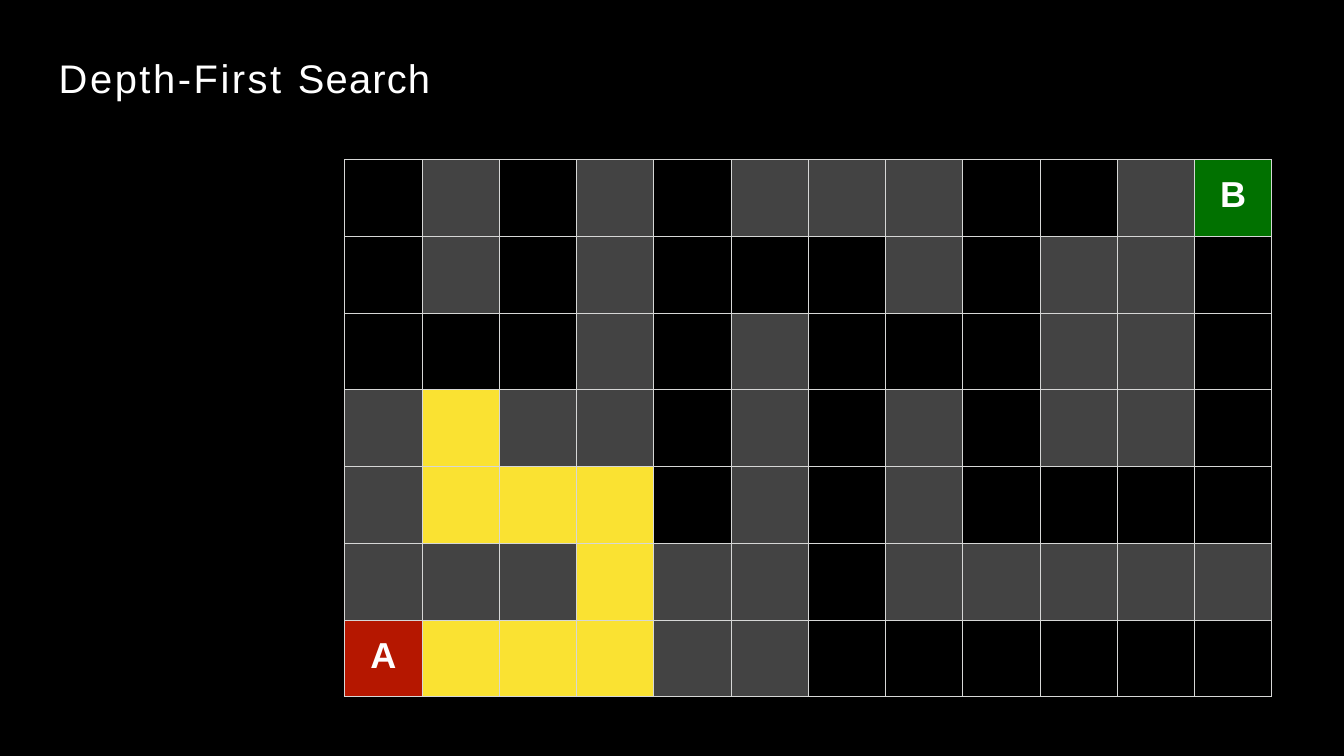
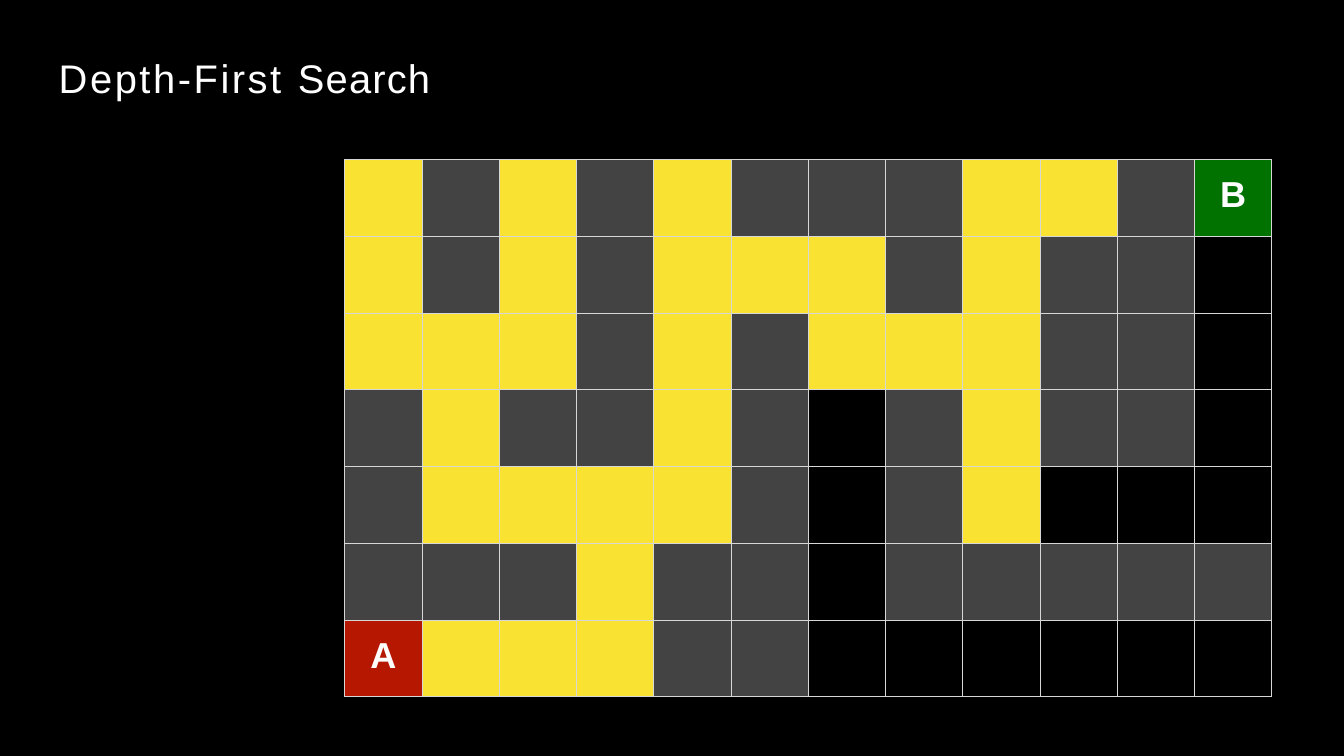
from dataclasses import dataclass

from lxml import etree
from pptx import Presentation
from pptx.dml.color import RGBColor
from pptx.enum import text
from pptx.oxml import ns
from pptx.util import Cm, Pt

# Shared style
BLACK = RGBColor(0x00, 0x00, 0x00)
WHITE = RGBColor(0xFF, 0xFF, 0xFF)
WALL = RGBColor(0x43, 0x43, 0x43)
EXPLORED = RGBColor(0xFA, 0xE2, 0x32)
START = RGBColor(0xB5, 0x17, 0x00)
GOAL = RGBColor(0x01, 0x71, 0x00)
GRID = RGBColor(0xD6, 0xD7, 0xD6)
FONT = "Arial"
CELL_WIDTH, CELL_HEIGHT = Cm(3.21), Cm(3.19)

# The maze: # wall, . open, A start, B goal
MAZE = (
    ".#.#.###..#B",
    ".#.#...#.##.",
    "...#.#...##.",
    "#.##.#.#.##.",
    "#....#.#....",
    "###.##.#####",
    "A...##......",
)
CELL_FILLS = {"#": WALL, ".": BLACK, "A": START, "B": GOAL}


@dataclass(frozen=True)
class Span:
    words: str
    spacing: float  # points between letters


@dataclass(frozen=True)
class Step:
    explored: tuple[tuple[int, ...], ...]  # explored columns, row by row


TITLE = (Span("Depth-First ", 3), Span("Search", 1.4))
STEPS = (
    Step(((), (), (), (1,), (1, 2, 3), (3,), (1, 2, 3))),
    Step((
        (0, 2, 4, 8, 9),
        (0, 2, 4, 5, 6, 8),
        (0, 1, 2, 4, 6, 7, 8),
        (1, 4, 8),
        (1, 2, 3, 4, 8),
        (3,),
        (1, 2, 3),
    )),
)


def style_font(font, size: float, bold: bool = False) -> None:
    font.name, font.size, font.bold = FONT, Pt(size), bold
    font.color.rgb = WHITE


def add_title(page) -> None:
    box = page.shapes.add_textbox(Cm(2.44), Cm(2.18), Cm(15.49), Cm(2.06))
    frame = box.text_frame
    frame.word_wrap = True
    frame.margin_left = frame.margin_right = frame.margin_bottom = 0
    frame.margin_top = Cm(0.03)
    paragraph = frame.paragraphs[0]
    style_font(paragraph.font, 47)
    for part in TITLE:
        span = paragraph.add_run()
        span.text = part.words
        span._r.get_or_add_rPr().set("spc", str(round(part.spacing * 100)))


def add_borders(cell) -> None:
    properties = cell._tc.get_or_add_tcPr()
    # Border lines must stand before the fill
    for index, side in enumerate(("lnL", "lnR", "lnT", "lnB")):
        line = etree.Element(ns.qn(f"a:{side}"), w=str(Pt(1)))
        fill = etree.SubElement(line, ns.qn("a:solidFill"))
        etree.SubElement(fill, ns.qn("a:srgbClr"), val=str(GRID))
        properties.insert(index, line)


def add_letter(cell, letter: str) -> None:
    cell.margin_left = cell.margin_right = cell.margin_bottom = 0
    cell.margin_top = Cm(0.65)
    paragraph = cell.text_frame.paragraphs[0]
    paragraph.alignment = text.PP_ALIGN.CENTER
    style_font(paragraph.font, 42.5, bold=True)
    paragraph.add_run().text = letter


def add_maze(page, step: Step) -> None:
    rows, columns = len(MAZE), len(MAZE[0])
    table = page.shapes.add_table(
        rows, columns, Cm(14.33), Cm(6.63), CELL_WIDTH * columns, CELL_HEIGHT * rows
    ).table
    table.first_row = table.horz_banding = False
    for column in table.columns:
        column.width = CELL_WIDTH
    for row in table.rows:
        row.height = CELL_HEIGHT
    for row_index, (marks, explored) in enumerate(zip(MAZE, step.explored)):
        for column_index, mark in enumerate(marks):
            cell = table.cell(row_index, column_index)
            cell.fill.solid()
            cell.fill.fore_color.rgb = (
                EXPLORED if column_index in explored else CELL_FILLS[mark]
            )
            add_borders(cell)
            if mark.isalpha():
                add_letter(cell, mark)


def main() -> None:
    deck = Presentation()
    deck.slide_width, deck.slide_height = Cm(55.85), Cm(31.42)

    # Black background for every slide
    background = deck.slide_master.background.fill
    background.solid()
    background.fore_color.rgb = BLACK

    for step in STEPS:
        page = deck.slides.add_slide(deck.slide_layouts[6])
        add_maze(page, step)
        add_title(page)
    deck.save("out.pptx")


if __name__ == "__main__":
    main()
